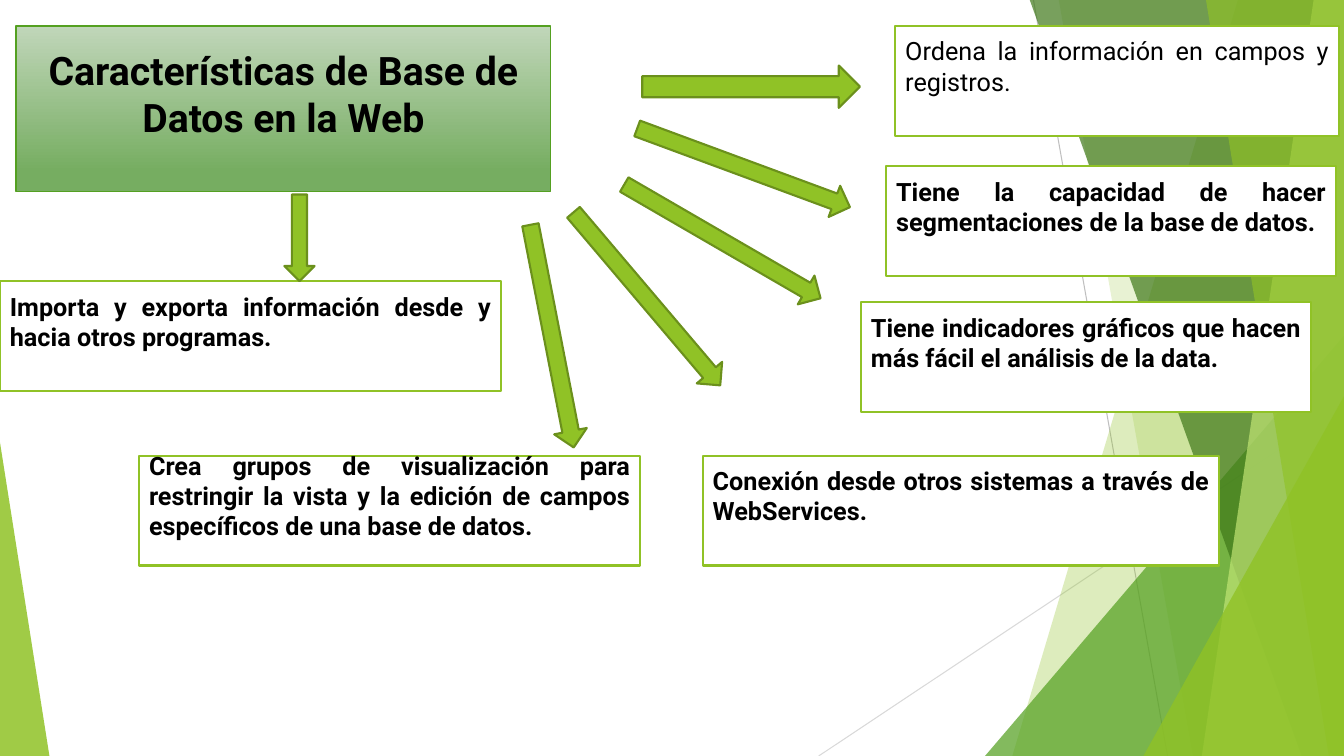
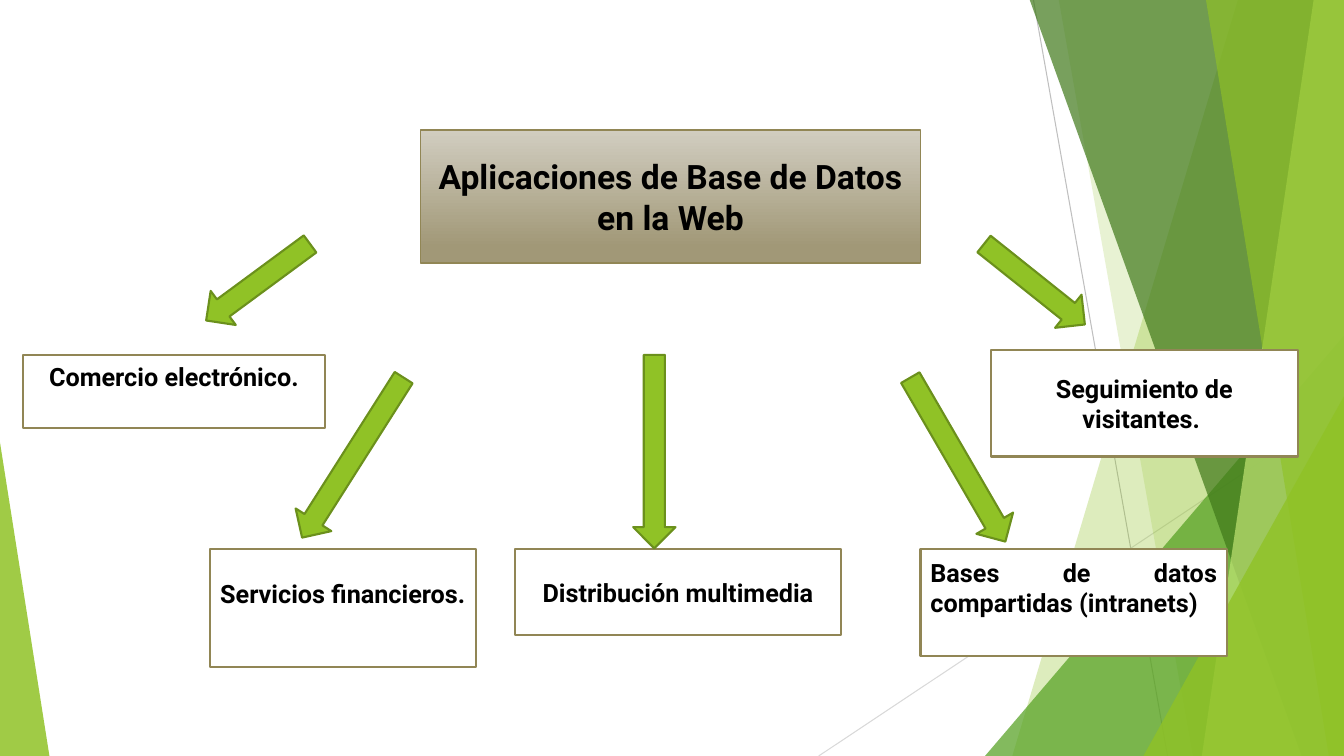
from lxml import etree
from pptx import Presentation
from pptx.dml.color import RGBColor
from pptx.enum.shapes import MSO_CONNECTOR, MSO_SHAPE as SHAPE
from pptx.enum.text import MSO_ANCHOR, MSO_AUTO_SIZE, PP_ALIGN as ALIGN
from pptx.oxml import parse_xml
from pptx.oxml.ns import nsdecls, qn
from pptx.util import Inches, Pt

WIDTH, HEIGHT = 13.33, 7.5
BAND_TOP = -0.01
FONT = "Roboto"
BLANK_LINE = 0.3
TITLE_LAYOUT = 5

BLACK = RGBColor(0x00, 0x00, 0x00)
WHITE = RGBColor(0xFF, 0xFF, 0xFF)
LIME = RGBColor(0x90, 0xC2, 0x26)
LIME_DARK = RGBColor(0x6B, 0x90, 0x1C)
LIME_PALE = RGBColor(0xC0, 0xE4, 0x74)
GREEN = RGBColor(0x54, 0xA0, 0x21)
GREEN_DARK = RGBColor(0x3F, 0x78, 0x19)
GREEN_TOP = RGBColor(0xC0, 0xD6, 0xB9)
GREEN_BOTTOM = RGBColor(0x76, 0xAD, 0x61)
OLIVE = RGBColor(0x91, 0x86, 0x55)
OLIVE_TOP = RGBColor(0xD1, 0xCD, 0xC0)
OLIVE_BOTTOM = RGBColor(0xA1, 0x98, 0x77)
GRAY = RGBColor(0xBF, 0xBF, 0xBF)
GRAY_LIGHT = RGBColor(0xD9, 0xD9, 0xD9)


def paint(sp, fill, line=None, alpha=None):
    sp.shadow.inherit = False
    sp.fill.solid()
    sp.fill.fore_color.rgb = fill
    if alpha is not None:
        color = sp.element.spPr.find(f"{qn('a:solidFill')}/{qn('a:srgbClr')}")
        etree.SubElement(color, qn("a:alpha")).set("val", str(alpha * 1000))
    if line is None:
        sp.line.fill.background()
    else:
        sp.line.color.rgb = line
        sp.line.width = Pt(1.5)
    return sp


def add_ray(s, start, end, color):
    cxn = s.shapes.add_connector(MSO_CONNECTOR.STRAIGHT, *map(Inches, start + end))
    cxn.line.color.rgb = color
    cxn.line.width = Pt(0.75)
    etree.SubElement(cxn.element.spPr, qn("a:effectLst"))
    return cxn


def add_band(s, top_x, bottom_x, color, alpha):
    corners = [(WIDTH, BAND_TOP), (WIDTH, HEIGHT), (bottom_x, HEIGHT)]
    builder = s.shapes.build_freeform(Inches(top_x), Inches(BAND_TOP))
    builder.add_line_segments([(Inches(x), Inches(y)) for x, y in corners])
    return paint(builder.convert_to_shape(), color, alpha=alpha)


def add_wedge(s, left, top, width, peak, color, alpha):
    box = map(Inches, (left, top, width, HEIGHT - top))
    sp = s.shapes.add_shape(SHAPE.ISOSCELES_TRIANGLE, *box)
    sp.adjustments[0] = peak
    return paint(sp, color, alpha=alpha)


def add_backdrop(s):
    parts = [
        add_ray(s, (10.25, 0), (11.58, HEIGHT), GRAY),
        add_ray(s, (WIDTH, 4.03), (8.12, HEIGHT), GRAY_LIGHT),
        add_band(s, 12.28, 10.04, LIME, 30),
        add_band(s, 10.5, 11.83, LIME, 20),
        add_wedge(s, 9.77, 3.33, 3.56, 1, GREEN, 72),
        add_band(s, 10.21, 12.91, GREEN_DARK, 70),
        add_band(s, 13.03, 11.92, LIME_PALE, 70),
        add_band(s, 11.96, 13.18, LIME, 65),
        add_wedge(s, 11.34, 3.93, 1.99, 1, LIME, 80),
        add_wedge(s, 0, 4.39, 0.49, 0, LIME, 85),
    ]
    tree = s.slide_layout.shapes.element
    for i, sp in enumerate(parts):
        sp.element.xpath(".//p:cNvPr")[0].set("id", str(100 + i))
        tree.insert(2 + i, sp.element)


def write(sp, text, size, align, bold=True, raised=False):
    tf = sp.text_frame
    tf.word_wrap = True
    tf.auto_size = MSO_AUTO_SIZE.NONE
    tf.vertical_anchor = MSO_ANCHOR.MIDDLE
    tf.margin_left = tf.margin_right = Inches(0.1)
    tf.margin_top = Inches(0.05)
    tf.margin_bottom = Inches(0.05 + BLANK_LINE * raised)
    p = tf.paragraphs[0]
    p.alignment = align
    r = p.add_run()
    r.text = text
    r.font.name = FONT
    r.font.size = Pt(size)
    r.font.bold = bold
    r.font.color.rgb = BLACK


def set_title(s, box, text, size, colors, line, raised=False):
    sp = s.shapes.title
    sp.left, sp.top, sp.width, sp.height = map(Inches, box)
    sp.element.spPr.insert(1, parse_xml(
        f'<a:prstGeom {nsdecls("a")} prst="roundRect"><a:avLst/></a:prstGeom>'))
    sp.fill.gradient()
    sp.fill.gradient_angle = 270
    for stop, position, color in zip(sp.fill.gradient_stops, (0, 0.88), colors):
        stop.position = position
        stop.color.rgb = color
    sp.line.color.rgb = line
    sp.line.width = Pt(1)
    write(sp, text, size, ALIGN.CENTER, raised=raised)


def add_card(s, box, text, line, align, bold=True, raised=True):
    sp = s.shapes.add_shape(SHAPE.RECTANGLE, *map(Inches, box))
    paint(sp, WHITE, line)
    write(sp, text, 18, align, bold, raised)


def add_arrow(s, kind, box, rotation):
    sp = s.shapes.add_shape(kind, *map(Inches, box))
    sp.rotation = rotation
    paint(sp, LIME, LIME_DARK)


def build_features(s):
    set_title(s, (0.16, 0.26, 5.3, 1.64), "Características de Base de Datos en la Web",
              28, (GREEN_TOP, GREEN_BOTTOM), GREEN, raised=True)
    cards = [
        (8.88, 0.26, 4.4, "Ordena la información en campos y registros.", False),
        (6.97, 4.52, 5.12, "Conexión desde otros sistemas a través de WebServices.", True),
        (1.38, 4.52, 4.97, "Crea grupos de visualización para restringir la vista y la "
                           "edición de campos específicos de una base de datos.", True),
        (0, 2.79, 4.97, "Importa y exporta información desde y hacia otros programas.", True),
        (8.79, 1.65, 4.46, "Tiene la capacidad de hacer segmentaciones de la base de datos.",
         True),
        (8.54, 3, 4.46, "Tiene indicadores gráficos que hacen más fácil el análisis de la data.",
         True),
    ]
    for left, top, width, text, bold in cards:
        add_card(s, (left, top, width, 1.09), text, LIME, ALIGN.JUSTIFY, bold)
    add_arrow(s, SHAPE.RIGHT_ARROW, (6.37, 0.65, 2.16, 0.42), 0)
    for left, top, rotation in [(6.25, 1.5, 20.3), (6.04, 2.23, 30.1),
                                (5.29, 2.8, 49.7), (4.35, 3.17, 79)]:
        add_arrow(s, SHAPE.RIGHT_ARROW, (left, top, 2.25, 0.33), rotation)
    add_arrow(s, SHAPE.RIGHT_ARROW, (2.54, 2.21, 0.86, 0.3), 90)


def build_applications(s):
    set_title(s, (4.17, 1.29, 4.96, 1.32), "Aplicaciones de Base de Datos en la Web",
              24, (OLIVE_TOP, OLIVE_BOTTOM), OLIVE)
    cards = [
        ((0.23, 3.52, 2.99, 0.73), "Comercio electrónico.", ALIGN.CENTER, True),
        ((5.11, 5.45, 3.23, 0.85), "Distribución\u00a0multimedia", ALIGN.CENTER, False),
        ((2.08, 5.45, 2.64, 1.17), "Servicios financieros.", ALIGN.CENTER, True),
        ((9.13, 5.45, 3.04, 1.06), "Bases de datos compartidas (intranets)",
         ALIGN.JUSTIFY, True),
        ((9.83, 3.47, 3.04, 1.06), "Seguimiento de visitantes. ", ALIGN.CENTER, False),
    ]
    for box, text, align, raised in cards:
        add_card(s, box, text, OLIVE, align, raised=raised)
    for left, top, length, rotation in [(6.28, 3.52, 1.92, 0), (2.35, 2.16, 1.28, 53.6),
                                        (3.29, 3.6, 1.88, 32.4), (9.29, 3.62, 1.88, 329.9),
                                        (10.05, 2.18, 1.28, 308.6)]:
        add_arrow(s, SHAPE.DOWN_ARROW, (left, top, 0.42, length), rotation)


def main():
    prs = Presentation()
    prs.slide_width, prs.slide_height = Inches(WIDTH), Inches(HEIGHT)
    layout = prs.slide_layouts[TITLE_LAYOUT]
    features, applications = [prs.slides.add_slide(layout) for _ in range(2)]
    add_backdrop(features)
    build_features(features)
    build_applications(applications)
    prs.save("out.pptx")


main()
